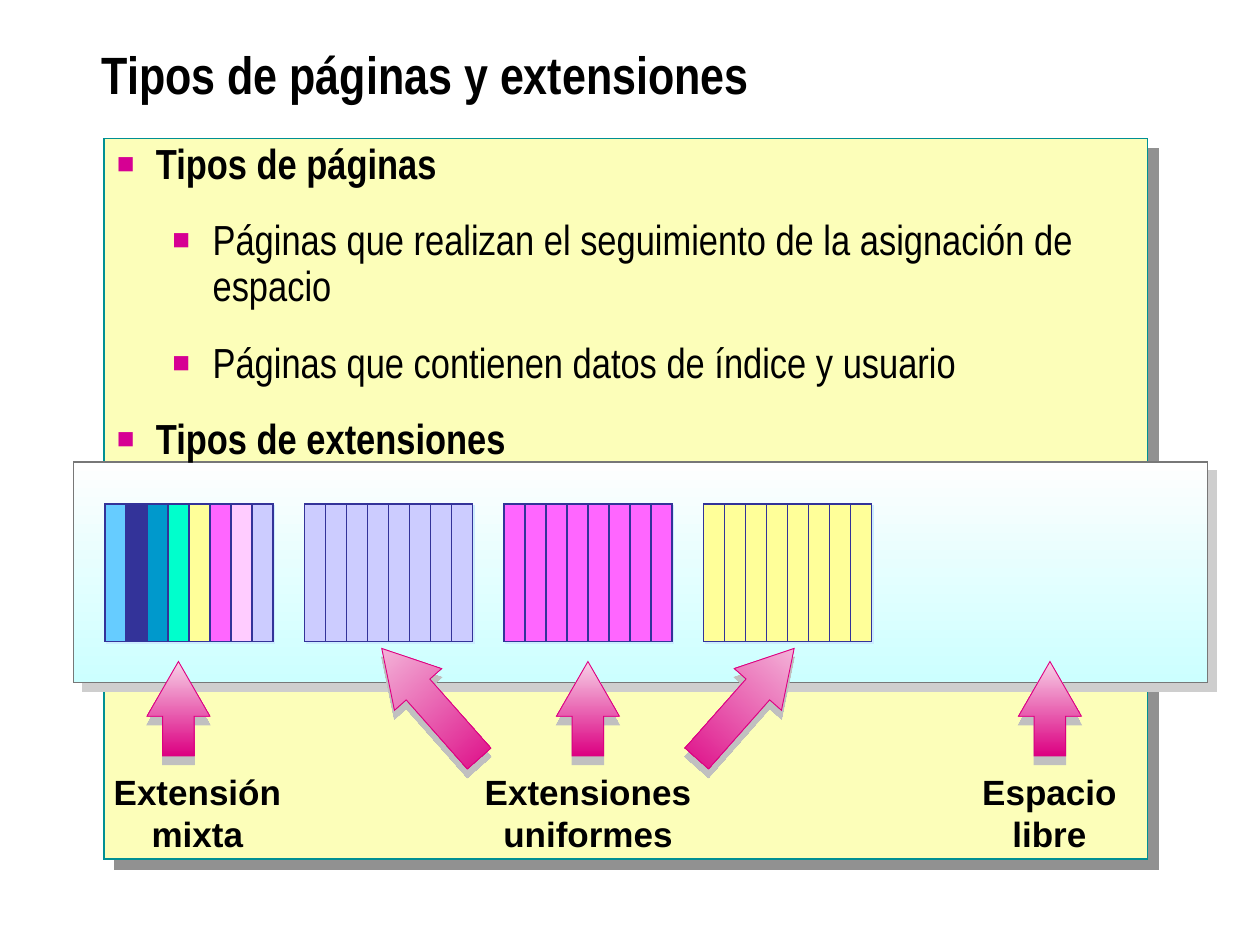
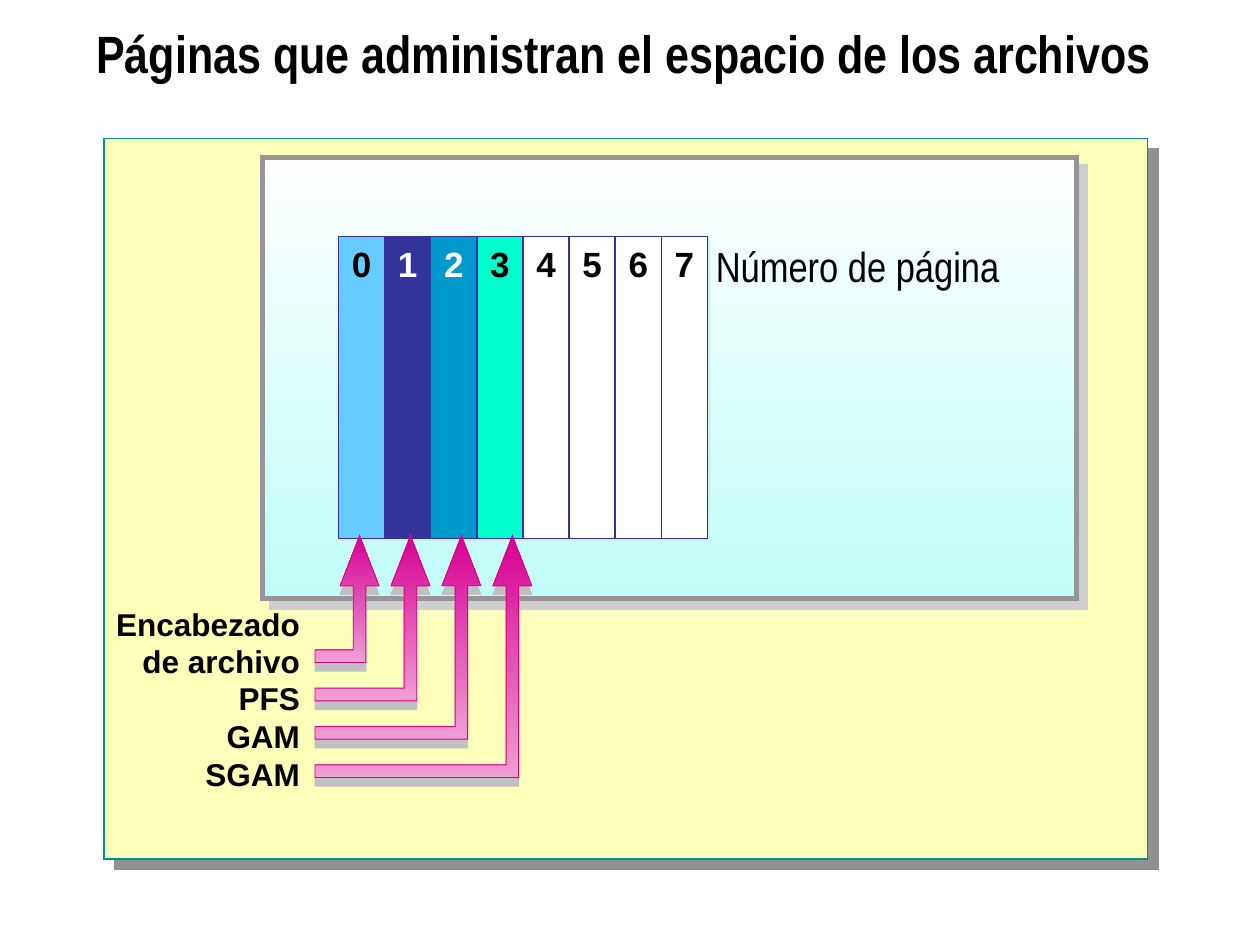
from typing import NamedTuple

from lxml.etree import SubElement
from pptx import Presentation
from pptx.dml.color import RGBColor
from pptx.enum.shapes import MSO_SHAPE
from pptx.enum.text import MSO_ANCHOR, PP_ALIGN
from pptx.oxml.ns import qn
from pptx.util import Emu, Inches, Pt

# Grid: 120 columns by 90 rows, each a twelfth of an inch
UNIT = Inches(1) // 12
COLS, ROWS = 120, 90

# Shared fonts and colours
SANS, NARROW = "Arial", "Arial Narrow"
BLACK, WHITE = "000000", "FFFFFF"
BULLET = "D60093"
SKY, NAVY, TEAL, MINT = "66CCFF", "333399", "0099CC", "00FFCC"
YELLOW, MAGENTA, PINK, LILAC = "FFFF99", "FF66FF", "FFCCFF", "CCCCFF"


class Box(NamedTuple):
    """Left, top, width and height in grid units."""
    left: float
    top: float
    width: float
    height: float


class Shadow(NamedTuple):
    color: str
    distance: float
    angle: int = 45


class Look(NamedTuple):
    """Fill colours (one, or two from top to bottom), outline and shadow."""
    fill: tuple[str, ...]
    line: str
    weight: float
    shadow: Shadow


class Arrow(NamedTuple):
    box: Box
    rotation: float = 0


class Label(NamedTuple):
    text: str
    center: float


CELL_SHADOW = Shadow("CCECFF", 1.4)
CARD_SHADOW = Shadow("CECECE", 7.1)
ARROW_SHADOW = Shadow("C0C0C0", 5, 90)
PANEL_LOOK = Look(("FCFEB9",), "009094", 1, Shadow("919191", 8.5))
STRIP_LOOK = Look(("FEFEFE", "CCFFFF"), "777777", 0.75, CARD_SHADOW)
FILE_LOOK = Look(("FEFEFE", "C1FEF9"), "969696", 3, CARD_SHADOW)
ARROW_LOOK = Look(("F7D2E8", "DC0081"), "DC0081", 0.5, ARROW_SHADOW)
ELBOW_LOOK = Look(("D60093", "EE9ED5"), "DC0081", 0.5, ARROW_SHADOW)


def rgb(color: str) -> RGBColor:
    return RGBColor.from_string(color)


def grid(*values: float) -> list[Emu]:
    return [Emu(round(v * UNIT)) for v in values]


def apply_look(sp, look: Look) -> None:
    if len(look.fill) == 1:
        sp.fill.solid()
        sp.fill.fore_color.rgb = rgb(look.fill[0])
    else:
        sp.fill.gradient()
        sp.fill.gradient_angle = 270
        for stop, color in zip(sp.fill.gradient_stops, look.fill):
            stop.color.rgb = rgb(color)
    sp.line.color.rgb = rgb(look.line)
    sp.line.width = Pt(look.weight)
    sp.shadow.inherit = False
    spPr = sp._element.spPr
    SubElement(spPr.find(qn("a:ln")), qn("a:miter"), lim="800000")
    outer = SubElement(spPr.find(qn("a:effectLst")), qn("a:outerShdw"),
                       blurRad="0", dist=str(Pt(look.shadow.distance)),
                       dir=str(look.shadow.angle * 60000),
                       algn="ctr", rotWithShape="0")
    SubElement(outer, qn("a:srgbClr"), val=look.shadow.color)


def add_box(s, box: Box, look: Look, kind=MSO_SHAPE.RECTANGLE):
    sp = s.shapes.add_shape(kind, *grid(*box))
    apply_look(sp, look)
    return sp


def write(p, text: str, *, size: float = 20, font: str = SANS,
          color: str = BLACK, bold: bool = True, align=PP_ALIGN.LEFT,
          spacing: float | None = None) -> None:
    p.text = text
    p.alignment = align
    if spacing:
        p.line_spacing = spacing
    for r in p.runs:
        r.font.name, r.font.size, r.font.bold = font, Pt(size), bold
        r.font.color.rgb = rgb(color)


def text_frame(sp, wrap: bool = True, anchor=MSO_ANCHOR.TOP):
    tf = sp.text_frame
    tf.word_wrap = wrap
    tf.vertical_anchor = anchor
    return tf


def add_text(s, text: str, box: Box, anchor=MSO_ANCHOR.TOP, **fmt) -> None:
    tf = text_frame(s.shapes.add_textbox(*grid(*box)), anchor=anchor)
    write(tf.paragraphs[0], text, **fmt)


def add_bullet(p, level: int) -> None:
    margin, hang = ((0.31, 0.31), (0.76, 0.32))[level]
    p.level = level
    pPr = p._p.get_or_add_pPr()
    pPr.set("marL", str(Inches(margin)))
    pPr.set("indent", str(-Inches(hang)))
    SubElement(SubElement(pPr, qn("a:buClr")), qn("a:srgbClr"), val=BULLET)
    SubElement(pPr, qn("a:buSzPct"), val="70000")
    SubElement(pPr, qn("a:buFont"), typeface=SANS)
    SubElement(pPr, qn("a:buChar"), char="■")


def add_cells(s, first: Box, colors: list[str]) -> list:
    """Draw a row of touching page cells, one for each colour."""
    return [add_box(s, first._replace(left=first.left + i * first.width),
                    Look((color,), NAVY, 0.75, CELL_SHADOW))
            for i, color in enumerate(colors)]


def add_arrow(s, arrow: Arrow) -> None:
    sp = add_box(s, arrow.box, ARROW_LOOK, MSO_SHAPE.UP_ARROW)
    sp.adjustments[0], sp.adjustments[1] = 0.5, 0.87
    sp.rotation = arrow.rotation


def add_elbow(s, tip: float, bottom: float) -> None:
    """Draw a bar that turns upward into an arrow below a page cell."""
    start, top, neck, half, head, bar = 30, 51, 55.8, 0.6, 1.85, 1.2
    points = [(start, bottom - bar), (tip - half, bottom - bar),
              (tip - half, neck), (tip - head, neck), (tip, top),
              (tip + head, neck), (tip + half, neck), (tip + half, bottom),
              (start, bottom)]
    first, *rest = [tuple(grid(*point)) for point in points]
    builder = s.shapes.build_freeform(*first)
    builder.add_line_segments(rest, close=True)
    apply_look(builder.convert_to_shape(), ELBOW_LOOK)


def new_slide(prs, title: str, left: float, top: float):
    """Start a slide with the yellow panel and the title."""
    s = prs.slides.add_slide(prs.slide_layouts[6])
    add_box(s, Box(9.92, 13.2, 99.36, 68.6), PANEL_LOOK)
    add_text(s, title, Box(left, top, 107.5, 11.1), anchor=MSO_ANCHOR.MIDDLE,
             size=30, font=NARROW, spacing=0.8)
    return s


def extents_slide(prs) -> None:
    s = new_slide(prs, "Tipos de páginas y extensiones", 8.5, 2)
    add_box(s, Box(7, 44, 108, 21), STRIP_LOOK)

    # One mixed extent and three uniform ones, eight pages each
    extents = [[SKY, NAVY, TEAL, MINT, YELLOW, MAGENTA, PINK, LILAC],
               [LILAC] * 8, [MAGENTA] * 8, [YELLOW] * 8]
    for i, colors in enumerate(extents):
        add_cells(s, Box(10 + 19 * i, 48, 2, 13.1), colors)

    # Arrows
    for arrow in [Arrow(Box(14, 63, 6, 9)),
                  Arrow(Box(38, 60, 6, 14), 318.5),
                  Arrow(Box(53, 63, 6, 9)),
                  Arrow(Box(68, 60, 6, 14), 41.5),
                  Arrow(Box(97, 63, 6, 9))]:
        add_arrow(s, arrow)

    # Arrow labels, in equal boxes wide enough for the longest word
    width = 26
    for label in [Label("Extensión\nmixta", 18.8),
                  Label("Extensiones\nuniformes", 56),
                  Label("Espacio\nlibre", 99.95)]:
        add_text(s, label.text,
                 Box(label.center - width / 2, 72.8, width, 9.2),
                 align=PP_ALIGN.CENTER)

    # Bulleted list
    items = [(0, "Tipos de páginas"),
             (1, "Páginas que realizan el seguimiento de la asignación "
                 "de espacio"),
             (1, "Páginas que contienen datos de índice y usuario"),
             (0, "Tipos de extensiones")]
    tf = text_frame(s.shapes.add_textbox(*grid(9.95, 13, 99, 56.3)))
    for i, (level, text) in enumerate(items):
        p = tf.add_paragraph() if i else tf.paragraphs[0]
        add_bullet(p, level)
        write(p, text, size=24, font=NARROW, bold=level == 0, spacing=0.9)
        if i:
            p.space_before = Pt(18)


def file_pages_slide(prs) -> None:
    s = new_slide(prs, "Páginas que administran el espacio de los archivos",
                  8, 0)
    add_box(s, Box(25, 15, 77.5, 42), FILE_LOOK)

    # Numbered pages of the file
    colors = [SKY, NAVY, TEAL, MINT] + [WHITE] * 4
    cells = add_cells(s, Box(32.25, 22.5, 4.39, 28.8), colors)
    for number, (sp, color) in enumerate(zip(cells, colors)):
        write(text_frame(sp, wrap=False).paragraphs[0], str(number),
              color=WHITE if color in (NAVY, TEAL) else BLACK,
              align=PP_ALIGN.CENTER)
    add_text(s, "Número de página", Box(67, 22.35, 31, 6), size=24,
             font=NARROW, bold=False)

    # Names of the first pages, each with an arrow to its page
    step = 3.65
    names = ["Encabezado de archivo", "PFS", "GAM", "SGAM"]
    for i, name in enumerate(names):
        top, height = (60.4 + step * i, 4.8) if i else (57, 8.4)
        add_text(s, name, Box(8, top, 21.75, height), size=18,
                 align=PP_ALIGN.RIGHT)
        add_elbow(s, tip=34.25 + 4.85 * i, bottom=63.1 + step * i)


def main() -> None:
    prs = Presentation()
    prs.slide_width, prs.slide_height = grid(COLS, ROWS)
    extents_slide(prs)
    file_pages_slide(prs)
    prs.save("out.pptx")


if __name__ == "__main__":
    main()
